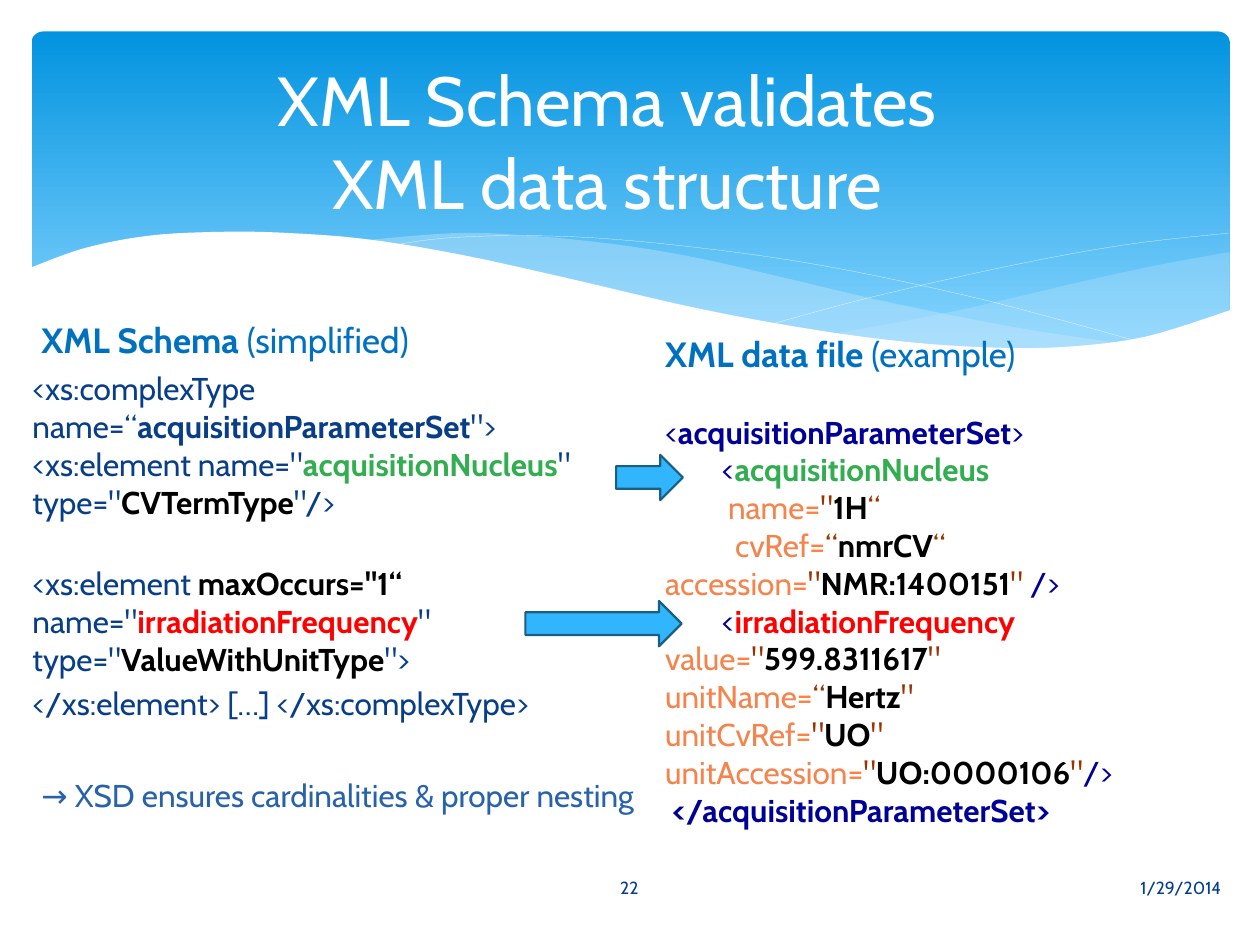
from lxml.etree import SubElement
from pptx import Presentation
from pptx.dml.color import RGBColor
from pptx.enum.shapes import MSO_SHAPE as Kind
from pptx.enum.text import MSO_ANCHOR as Anchor, PP_ALIGN as Align
from pptx.oxml.ns import qn
from pptx.util import Inches, Pt

NAVY, BLUE, INK = "073E87", "0070C0", "000096"
GREEN, RED, BLACK, WHITE = "32AE51", "FF0000", "000000", "FFFFFF"
ORANGE, EQUAL, QUOTE, MIST = "F5844C", "FF8040", "993300", "C6E7FC"


def rgb(code):
    return RGBColor.from_string(code)


def smooth(knots, steps=6):
    ends = [knots[0], *knots, knots[-1]]
    out = [knots[0]]
    for a, b, c, d in zip(ends, ends[1:], ends[2:], ends[3:]):
        for i in range(1, steps + 1):
            t = i / steps
            out.append(tuple(
                (2 * q + (r - p) * t + (2 * p - 5 * q + 4 * r - s) * t ** 2
                 + (3 * q - p - 3 * r + s) * t ** 3) / 2
                for p, q, r, s in zip(a, b, c, d)))
    return out


def outline(slide, x, y, points, fill=None, alpha=100):
    spots = [(Inches(x + a), Inches(y + b)) for a, b in points]
    pen = slide.shapes.build_freeform(*spots[0])
    pen.add_line_segments(spots[1:], close=fill is not None)
    shape = pen.convert_to_shape()
    shape.shadow.inherit = False
    if fill is None:
        shape.fill.background()
        shape.line.color.rgb = rgb(WHITE)
        shape.line.width = Pt(0.1)
        return
    shape.fill.solid()
    shape.fill.fore_color.rgb = rgb(fill)
    shape.line.fill.background()
    if alpha < 100:
        tint = shape.fill._xPr.find(".//" + qn("a:srgbClr"))
        SubElement(tint, qn("a:alpha"), val=str(alpha * 1000))


def banner(slide, x, y, w, h):
    sky = slide.shapes.add_shape(
        Kind.ROUNDED_RECTANGLE, Inches(x), Inches(y), Inches(w), Inches(h))
    sky.adjustments[0] = 0.034
    sky.shadow.inherit = False
    sky.line.fill.background()
    sky.fill.gradient()
    sky.fill.gradient_angle = 270
    stops = sky.fill.gradient_stops
    for stop, place, code in zip(stops, (0, 0.9), ("0293E0", "83D3FE")):
        stop.position = place
        stop.color.rgb = rgb(code)

    wing = smooth([(w, 1.75), (8.96, 1.85), (8.36, 1.98), (7.28, 2.23),
                   (6.36, 2.4)])
    wing += smooth([(6.36, 2.4), (6.94, 2.47), (7.56, 2.52), (8.19, 2.52),
                    (8.8, 2.44), (9.24, 2.32), (w, 2.22)])
    swell = smooth([(8.68, 2.48), (7.82, 2.35), (6.81, 2.15), (6.04, 1.97),
                    (5.3, 1.8), (4.64, 1.69), (3.95, 1.62), (3.36, 1.6),
                    (2.61, 1.66)])
    swell += smooth([(2.61, 1.66), (3.37, 1.78), (4.24, 1.97), (5.05, 2.15),
                     (5.93, 2.33), (6.7, 2.45), (7.36, 2.52), (8.03, 2.53),
                     (8.68, 2.48)])
    fall = smooth([(2.84, 1.7), (3.28, 1.64), (3.91, 1.62), (4.64, 1.65),
                   (5.57, 1.75), (6.4, 1.88), (7.35, 2.08), (8.06, 2.26),
                   (8.82, 2.47)])
    rise = smooth([(5.88, 2.32), (6.7, 2.1), (7.81, 1.85), (8.7, 1.69),
                   (9.5, 1.6)])
    floor = smooth([(9.52, 2.21), (8.85, 2.42), (8.25, 2.5), (7.68, 2.51),
                    (7.01, 2.47), (6.23, 2.37), (5.3, 2.2), (4.22, 1.95),
                    (3.4, 1.77), (2.67, 1.65), (2.05, 1.6), (1.52, 1.59),
                    (0.94, 1.62), (0.42, 1.72), (-0.02, 1.88)])
    floor += [(-0.02, 3.04), (9.52, 3.04)]
    outline(slide, x, y, wing, MIST, 29)
    outline(slide, x, y, swell, MIST, 40)
    outline(slide, x, y, fall)
    outline(slide, x, y, rise)
    outline(slide, x, y, floor, WHITE)


def fill_para(para, runs, size, gap=0):
    para.font.size = Pt(size)
    para.font.name = "Cabin"
    para.space_before = Pt(gap)
    for text, code, bold in runs:
        for i, part in enumerate(text.split("\n")):
            if i:
                para.add_line_break()
            if part:
                run = para.add_run()
                run.text = part
                run.font.color.rgb = rgb(code)
                run.font.bold = bold


def text_box(slide, x, y, w, h, paras, align=Align.LEFT,
             anchor=Anchor.TOP, wrap=True):
    box = slide.shapes.add_textbox(Inches(x), Inches(y), Inches(w), Inches(h))
    frame = box.text_frame
    frame.word_wrap = wrap
    frame.vertical_anchor = anchor
    for i, (runs, size, gap) in enumerate(paras):
        para = frame.add_paragraph() if i else frame.paragraphs[0]
        para.alignment = align
        fill_para(para, runs, size, gap)
    return frame


def label(slide, x, y, w, h, text, size, code, **look):
    text_box(slide, x, y, w, h, [([(text, code, False)], size, 0)], **look)


def plain(text, code=NAVY):
    return text, code, False


def strong(text, code=BLACK):
    return text, code, True


def pair(name, value, left='"', right='"'):
    return [plain(name, ORANGE), plain("=", EQUAL), plain(left, QUOTE),
            strong(value), plain(right, QUOTE)]


def schema(slide, x, y, w, h):
    frame = text_box(slide, x, y, w, h, [
        ([strong("XML Schema ", BLUE), plain("(simplified)", BLUE)], 20, 0),
        ([plain("<xs:complexType\nname=“"),
          strong("acquisitionParameterSet", NAVY),
          plain('">\n<xs:element name="'),
          strong("acquisitionNucleus", GREEN), plain('"\ntype="'),
          strong("CVTermType"), plain('"/>')], 18, 5),
        ([plain("<xs:element "), strong('maxOccurs="1“'),
          plain('\nname="'), strong("irradiationFrequency", RED),
          plain('"\ntype="'), strong("ValueWithUnitType"),
          plain('">')], 18, 25),
        ([plain("</xs:element> […] </xs:complexType>")], 18, 3.6)])
    props = frame.paragraphs[0]._p.get_or_add_pPr()
    props.set("indent", str(Inches(0.07)))


def sample(slide, x, y, w, h):
    brk = plain("\n", INK)
    text_box(slide, x, y, w, h, [
        ([strong("XML data file ", BLUE), plain("(example)", BLUE)], 20, 0),
        ([plain("<", INK), strong("acquisitionParameterSet", INK),
          plain(">\n        <", INK),
          strong("acquisitionNucleus", GREEN)], 18, 21.7),
        ([plain("\t", ORANGE), *pair("name", "1H", right="“")], 18, 0),
        ([plain("\t ", ORANGE), *pair("cvRef", "nmrCV", "“", "“"), brk,
          *pair("accession", "NMR:1400151"), plain(" />", INK)], 18, 0),
        ([plain("        <", INK), strong("irradiationFrequency", RED), brk,
          *pair("value", "599.8311617"), brk,
          *pair("unitName", "Hertz", "“"), brk,
          *pair("unitCvRef", "UO"), brk,
          *pair("unitAccession", "UO:0000106"), plain("/>\n ", INK),
          strong("</acquisitionParameterSet>", INK)], 18, 0)])


def arrow(slide, x, y, w, h):
    shape = slide.shapes.add_shape(
        Kind.RIGHT_ARROW, Inches(x), Inches(y), Inches(w), Inches(h))
    shape.shadow.inherit = False
    shape.fill.solid()
    shape.fill.fore_color.rgb = rgb("31B6FD")
    shape.line.color.rgb = rgb("195F84")
    shape.line.width = Pt(1.25)


def main():
    deck = Presentation()
    deck.slide_width, deck.slide_height = Inches(10), Inches(7.5)
    slide = deck.slides.add_slide(deck.slide_layouts[6])
    banner(slide, 0.25, 0.25, 9.51, 2.7)
    schema(slide, 0.16, 2.48, 5.13, 4.35)
    label(slide, 0.32, 0.43, 9, 1.37,
          "XML Schema validates\nXML data structure", 39.6, WHITE,
          align=Align.CENTER, anchor=Anchor.MIDDLE)
    sample(slide, 5.18, 2.59, 4.69, 4.07)
    arrow(slide, 4.89, 3.61, 0.53, 0.36)
    arrow(slide, 4.17, 4.77, 1.24, 0.36)
    label(slide, 0.23, 6.11, 4.96, 0.4,
          "→ XSD ensures cardinalities & proper nesting", 18, "2862AA",
          wrap=False)
    label(slide, 5.65, 6.84, 4.14, 0.4, "1/29/2014", 10, NAVY,
          align=Align.RIGHT, anchor=Anchor.MIDDLE)
    label(slide, 4.36, 6.84, 1.27, 0.4, "22", 10, NAVY,
          align=Align.CENTER, anchor=Anchor.MIDDLE)
    deck.save("out.pptx")


if __name__ == "__main__":
    main()
